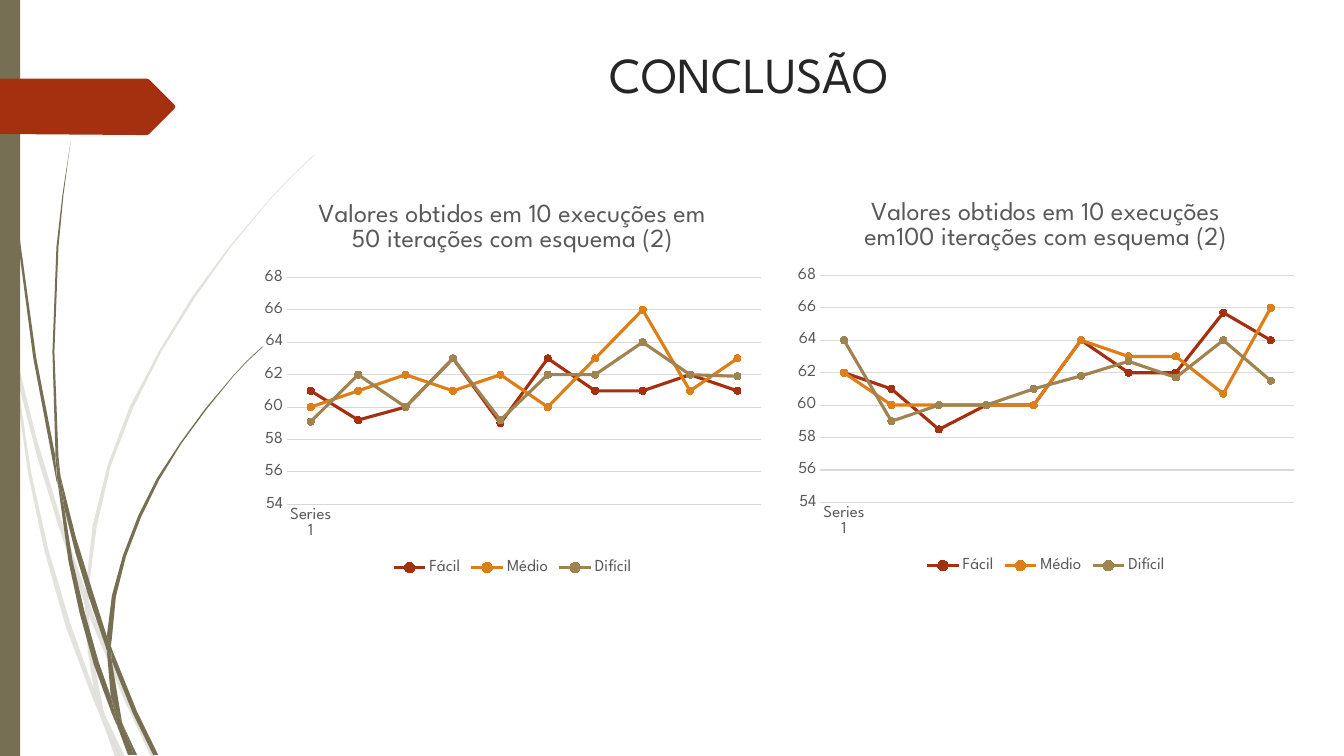
import pptx
import pptx.chart.data
import pptx.dml.color
import pptx.enum.chart
import pptx.enum.shapes
import pptx.enum.text
import pptx.oxml
import pptx.util

Pt = pptx.util.Pt
COLORS = {
    "olive": "766F54", "rust": "A53010", "orange": "DE7E18", "tan": "9F8351",
    "title": "262626", "label": "595959", "grid": "D9D9D9",
}
HUNDREDTH_INCH = Pt(0.72)

PALE_STRANDS = [
    [(11, 350), (9, 322), (0, 282), (0, 299), (10, 344)],
    [(58, 522), (84, 599), (85, 586), (62, 520), (36, 434), (14, 345), (17, 376), (36, 450)],
    [(92, 607), (88, 596), (88, 610), (123, 694), (150, 751), (155, 751), (127, 692)],
    [(119, 751), (124, 751), (105, 711)],
    [(93, 683), (70, 619), (48, 545), (31, 469), (17, 376), (11, 350), (28, 470),
     (44, 546), (65, 621), (92, 693), (101, 714), (99, 707)],
    [(84, 599), (87, 646), (93, 683), (96, 692), (105, 711), (103, 706), (91, 646),
     (88, 610), (88, 608)],
    [(88, 584), (96, 522), (110, 462), (132, 405), (160, 349), (193, 296), (229, 245),
     (268, 198), (290, 175), (312, 154), (312, 153), (289, 175), (268, 197), (228, 244),
     (191, 294), (158, 348), (129, 403), (107, 461), (92, 521), (85, 584), (85, 586),
     (88, 596)],
    [(101, 714), (114, 751), (119, 751)],
    [(88, 608), (88, 610), (88, 596), (85, 586), (84, 599)],
    [(96, 692), (93, 683), (99, 707), (101, 714), (119, 751), (105, 711)],
]
DARK_STRANDS = [
    [(7, 110), (17, 233), (33, 355), (56, 477), (57, 481), (55, 457), (55, 453),
     (36, 355), (19, 232), (8, 109), (5, 48), (4, 0), (3, 0), (4, 48)],
    [(88, 592), (106, 645), (106, 633), (106, 631), (93, 590), (75, 532), (60, 472),
     (64, 505), (75, 549)],
    [(113, 649), (110, 641), (111, 656), (132, 708), (152, 749), (157, 749), (136, 706)],
    [(110, 691), (98, 657), (84, 607), (72, 556), (64, 505), (57, 477), (68, 557),
     (79, 608), (93, 659), (111, 708), (117, 722), (116, 717)],
    [(60, 472), (58, 453), (54, 349), (58, 245), (63, 193), (70, 141), (62, 193),
     (56, 245), (52, 349), (55, 449)],
    [(133, 749), (136, 749), (122, 719)],
    [(57, 477), (64, 505), (60, 472), (55, 449), (55, 453)],
    [(111, 633), (115, 592), (125, 552), (140, 513), (158, 476), (180, 440), (205, 406),
     (231, 374), (245, 359), (261, 344), (260, 344), (245, 358), (231, 373), (204, 405),
     (179, 439), (156, 474), (137, 512), (122, 551), (111, 591), (106, 631), (110, 641)],
    [(117, 722), (127, 749), (131, 749)],
    [(106, 645), (110, 691), (116, 706), (122, 719), (121, 716), (111, 656), (109, 651)],
    [(106, 645), (109, 651), (111, 656), (110, 641), (106, 631), (106, 633)],
    [(116, 706), (110, 691), (116, 717), (117, 722), (130, 749), (133, 749), (122, 719)],
]
PENNANT = [(173, 108), (148, 133), (146, 134), (136, 134), (0, 133), (0, 78), (136, 78),
           (146, 78), (148, 79), (173, 104), (174, 106)]

LEVEL_COLORS = {"Fácil": "rust", "Médio": "orange", "Difícil": "tan"}
FIFTY_ITERATIONS = {
    "Fácil": [61, 59.2, 60, 63, 59, 63, 61, 61, 62, 61],
    "Médio": [60, 61, 62, 61, 62, 60, 63, 66, 61, 63],
    "Difícil": [59.1, 62, 60, 63, 59.2, 62, 62, 64, 62, 61.9],
}
HUNDRED_ITERATIONS = {
    "Fácil": [62, 61, 58.5, 60, 60, 64, 62, 62, 65.7, 64],
    "Médio": [62, 60, 60, 60, 60, 64, 63, 63, 60.7, 66],
    "Difícil": [64, 59, 60, 60, 61, 61.8, 62.7, 61.7, 64, 61.5],
}


class SlideBuilder:
    """Hold the deck style and add each kind of element to the current slide."""

    font_name = "League Spartan"

    def __init__(self, deck):
        self.slide = deck.slides.add_slide(deck.slide_layouts[5])

    def rgb(self, color):
        return pptx.dml.color.RGBColor.from_string(COLORS[color])

    def style_font(self, font, size, color):
        font.name = self.font_name
        font.size = Pt(size)
        font.bold = False
        font.color.rgb = self.rgb(color)

    def paint(self, shape, color, opacity=100):
        shape.shadow.inherit = False
        shape.fill.solid()
        shape.fill.fore_color.rgb = self.rgb(color)
        shape.line.fill.background()
        if opacity < 100:
            tint = shape.fill._xPr.find(".//" + pptx.oxml.ns.qn("a:srgbClr"))
            alpha = pptx.oxml.parse_xml(
                f'<a:alpha {pptx.oxml.ns.nsdecls("a")} val="{opacity * 1000}"/>')
            tint.append(alpha)

    def title(self, text, left, top, width, height):
        heading = self.slide.shapes.title
        heading.left, heading.top = Pt(left), Pt(top)
        heading.width, heading.height = Pt(width), Pt(height)
        frame = heading.text_frame
        frame.text = text
        frame.word_wrap = True
        frame.auto_size = pptx.enum.text.MSO_AUTO_SIZE.NONE
        frame.vertical_anchor = pptx.enum.text.MSO_ANCHOR.TOP
        frame.paragraphs[0].alignment = pptx.enum.text.PP_ALIGN.CENTER
        self.style_font(frame.paragraphs[0].font, 36, "title")

    def bar(self, left, top, width, height, color):
        band = self.slide.shapes.add_shape(
            pptx.enum.shapes.MSO_SHAPE.RECTANGLE, Pt(left), Pt(top), Pt(width), Pt(height))
        self.paint(band, color)

    def outline(self, points, color, opacity=100, shapes=None):
        shapes = self.slide.shapes if shapes is None else shapes
        pen = shapes.build_freeform(*points[0], scale=HUNDREDTH_INCH)
        pen.add_line_segments(points[1:], close=True)
        self.paint(pen.convert_to_shape(), color, opacity)

    def strands(self, outlines, color, opacity=100):
        tuft = self.slide.shapes.add_group_shape()
        for points in outlines:
            self.outline(points, color, opacity, tuft.shapes)

    def line_chart(self, heading, levels, left, top, width, height):
        data = pptx.chart.data.CategoryChartData()
        data.categories = ["Series 1"] + [""] * 9
        for level, values in levels.items():
            data.add_series(level, values)
        chart = self.slide.shapes.add_chart(
            pptx.enum.chart.XL_CHART_TYPE.LINE_MARKERS,
            Pt(left), Pt(top), Pt(width), Pt(height), data).chart
        self.style_font(chart.font, 10, "label")
        chart.has_title = True
        chart.chart_title.include_in_layout = False
        chart.chart_title.text_frame.text = heading
        self.style_font(chart.chart_title.text_frame.paragraphs[0].font, 18.6, "label")
        chart.has_legend = True
        chart.legend.position = pptx.enum.chart.XL_LEGEND_POSITION.BOTTOM
        chart.legend.include_in_layout = False
        self.style_font(chart.legend.font, 12, "label")
        self.style_axes(chart.category_axis, chart.value_axis)
        self.place_plot(chart, x=0.064, y=0.239, w=0.917, h=0.572)
        chart.plots[0].vary_by_categories = False
        for series in chart.plots[0].series:
            color = self.rgb(LEVEL_COLORS[series.name])
            series.smooth = False
            series.format.line.width = Pt(2.25)
            series.format.line.color.rgb = color
            series.marker.style = pptx.enum.chart.XL_MARKER_STYLE.CIRCLE
            series.marker.size = 5
            series.marker.format.fill.solid()
            series.marker.format.fill.fore_color.rgb = color
            series.marker.format.line.color.rgb = color

    def style_axes(self, runs, scores):
        for axis in (runs, scores):
            axis.major_tick_mark = pptx.enum.chart.XL_TICK_MARK.NONE
            axis.minor_tick_mark = pptx.enum.chart.XL_TICK_MARK.NONE
            self.style_font(axis.tick_labels.font, 12, "label")
        scores.minimum_scale, scores.maximum_scale, scores.major_unit = 54, 68, 2
        scores.has_major_gridlines = True
        scores.format.line.fill.background()
        for line in (runs.format.line, scores.major_gridlines.format.line):
            line.width = Pt(0.75)
            line.color.rgb = self.rgb("grid")

    def place_plot(self, chart, **box):
        plot_area = chart._chartSpace.chart.plotArea
        for layout in plot_area.findall(pptx.oxml.ns.qn("c:layout")):
            plot_area.remove(layout)
        sizes = "".join(f'<c:{side} val="{share}"/>' for side, share in box.items())
        plot_area.insert(0, pptx.oxml.parse_xml(
            f'<c:layout {pptx.oxml.ns.nsdecls("c")}><c:manualLayout>'
            '<c:layoutTarget val="inner"/><c:xMode val="edge"/><c:yMode val="edge"/>'
            f'{sizes}</c:manualLayout></c:layout>'))


def main():
    deck = pptx.Presentation()
    deck.slide_width, deck.slide_height = Pt(960), Pt(540)
    conclusion = SlideBuilder(deck)
    conclusion.strands(PALE_STRANDS, "olive", opacity=20)
    conclusion.strands(DARK_STRANDS, "olive")
    conclusion.bar(0, 0, 14.4, 540, "olive")
    conclusion.outline(PENNANT, "rust")
    conclusion.title("CONCLUSÃO", 184.3, 27.4, 702, 100.8)
    conclusion.line_chart("Valores obtidos em 10 execuções em 50 iterações com esquema (2)",
                          FIFTY_ITERATIONS, 181.4, 130.3, 369.4, 283.7)
    conclusion.line_chart("Valores obtidos em 10 execuções em100 iterações com esquema (2)",
                          HUNDRED_ITERATIONS, 562.3, 128.9, 369.4, 283.7)
    deck.save("out.pptx")


if __name__ == "__main__":
    main()
